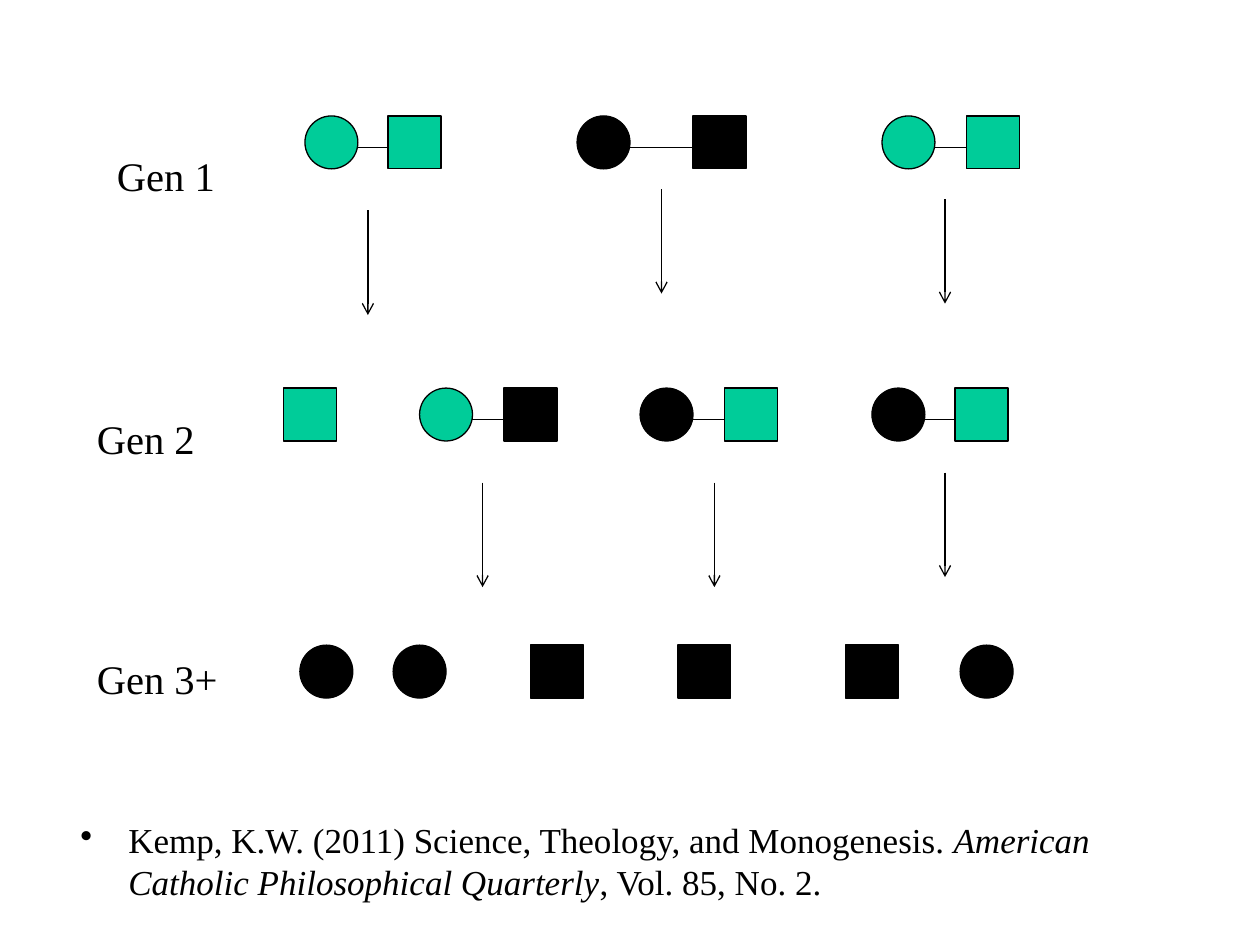
import pptx
import pptx.util
import pptx.dml.color
import pptx.enum.shapes
import pptx.enum.text
import pptx.oxml.ns
from lxml import etree

Inches, Pt = pptx.util.Inches, pptx.util.Pt
RGB = pptx.dml.color.RGBColor.from_string
SHAPE = pptx.enum.shapes.MSO_SHAPE
qn = pptx.oxml.ns.qn

COLORS = {"black": "000000", "green": "00CC99"}
FONT = "Times New Roman"
SIZE = 0.42

deck = pptx.Presentation()
deck.slide_width, deck.slide_height = Inches(10), Inches(7.5)
slide = deck.slides.add_slide(deck.slide_layouts[6])


def add_line(x1, y1, x2, y2, arrow=False):
    line = slide.shapes.add_connector(
        pptx.enum.shapes.MSO_CONNECTOR.STRAIGHT,
        Inches(x1), Inches(y1), Inches(x2), Inches(y2))
    line.line.color.rgb = RGB(COLORS["black"])
    line.line.width = Pt(0.75)
    if arrow:
        etree.SubElement(line.line._get_or_add_ln(), qn("a:tailEnd"), type="arrow")
    etree.SubElement(line._element.spPr, qn("a:effectLst"))


def add_run(paragraph, text, size, italic=False):
    run = paragraph.add_run()
    run.text = text
    run.font.name = FONT
    run.font.size = Pt(size)
    run.font.italic = italic
    run.font.color.rgb = RGB(COLORS["black"])
    return run


# Lines between mates: generation height, left ends
for y, starts in [(1.17, (2.67, 4.92, 7.25)), (3.33, (3.58, 5.33, 7.17))]:
    for x in starts:
        add_line(x, y, x + 0.58, y)

# Individuals by generation: circles are female, squares are male
generations = [
    (0.92, [(2.42, SHAPE.OVAL, "green"), (3.08, SHAPE.RECTANGLE, "green"),
            (4.58, SHAPE.OVAL, "black"), (5.5, SHAPE.RECTANGLE, "black"),
            (7, SHAPE.OVAL, "green"), (7.67, SHAPE.RECTANGLE, "green")]),
    (3.08, [(2.25, SHAPE.RECTANGLE, "green"),
            (3.33, SHAPE.OVAL, "green"), (4, SHAPE.RECTANGLE, "black"),
            (5.08, SHAPE.OVAL, "black"), (5.75, SHAPE.RECTANGLE, "green"),
            (6.92, SHAPE.OVAL, "black"), (7.58, SHAPE.RECTANGLE, "green")]),
    (5.12, [(2.38, SHAPE.OVAL, "black"), (3.12, SHAPE.OVAL, "black"),
            (4.21, SHAPE.RECTANGLE, "black"), (5.38, SHAPE.RECTANGLE, "black"),
            (6.71, SHAPE.RECTANGLE, "black"), (7.62, SHAPE.OVAL, "black")]),
]
for y, individuals in generations:
    for x, kind, color in individuals:
        individual = slide.shapes.add_shape(
            kind, Inches(x), Inches(y), Inches(SIZE), Inches(SIZE))
        individual.shadow.inherit = False
        individual.fill.solid()
        individual.fill.fore_color.rgb = RGB(COLORS[color])
        individual.line.color.rgb = RGB(COLORS["black"])
        individual.line.width = Pt(0.75)

# Descent arrows
for x, y in [(2.92, 1.67), (5.25, 1.5), (7.5, 1.58),
             (3.83, 3.83), (5.67, 3.83), (7.5, 3.75)]:
    add_line(x, y, x, y + 0.83, arrow=True)

# Generation labels, set as superscript
for text, x, y, width in [("Gen 1", 0.83, 1.08, 1.11),
                          ("Gen 2", 0.67, 3.17, 1.11),
                          ("Gen 3+", 0.67, 5.07, 1.32)]:
    label = slide.shapes.add_textbox(Inches(x), Inches(y), Inches(width), Inches(0.55))
    label.text_frame.word_wrap = False
    label.text_frame.auto_size = pptx.enum.text.MSO_AUTO_SIZE.SHAPE_TO_FIT_TEXT
    run = add_run(label.text_frame.paragraphs[0], text, 40)
    run.font._element.set("baseline", "30000")

# Bulleted reference
reference = slide.shapes.add_textbox(Inches(0.54), Inches(6.45), Inches(8.5), Inches(0.92))
reference.text_frame.word_wrap = True
citation = reference.text_frame.paragraphs[0]
indent = citation._p.get_or_add_pPr()
indent.set("marL", str(Inches(0.38)))
indent.set("indent", str(Inches(-0.38)))
etree.SubElement(indent, qn("a:buChar"), char="•")
add_run(citation, "Kemp, K.W. (2011) Science, Theology, and Monogenesis. ", 20)
add_run(citation, "American Catholic Philosophical Quarterly", 20, italic=True)
add_run(citation, ", Vol. 85, No. 2.", 20)

deck.save("out.pptx")
